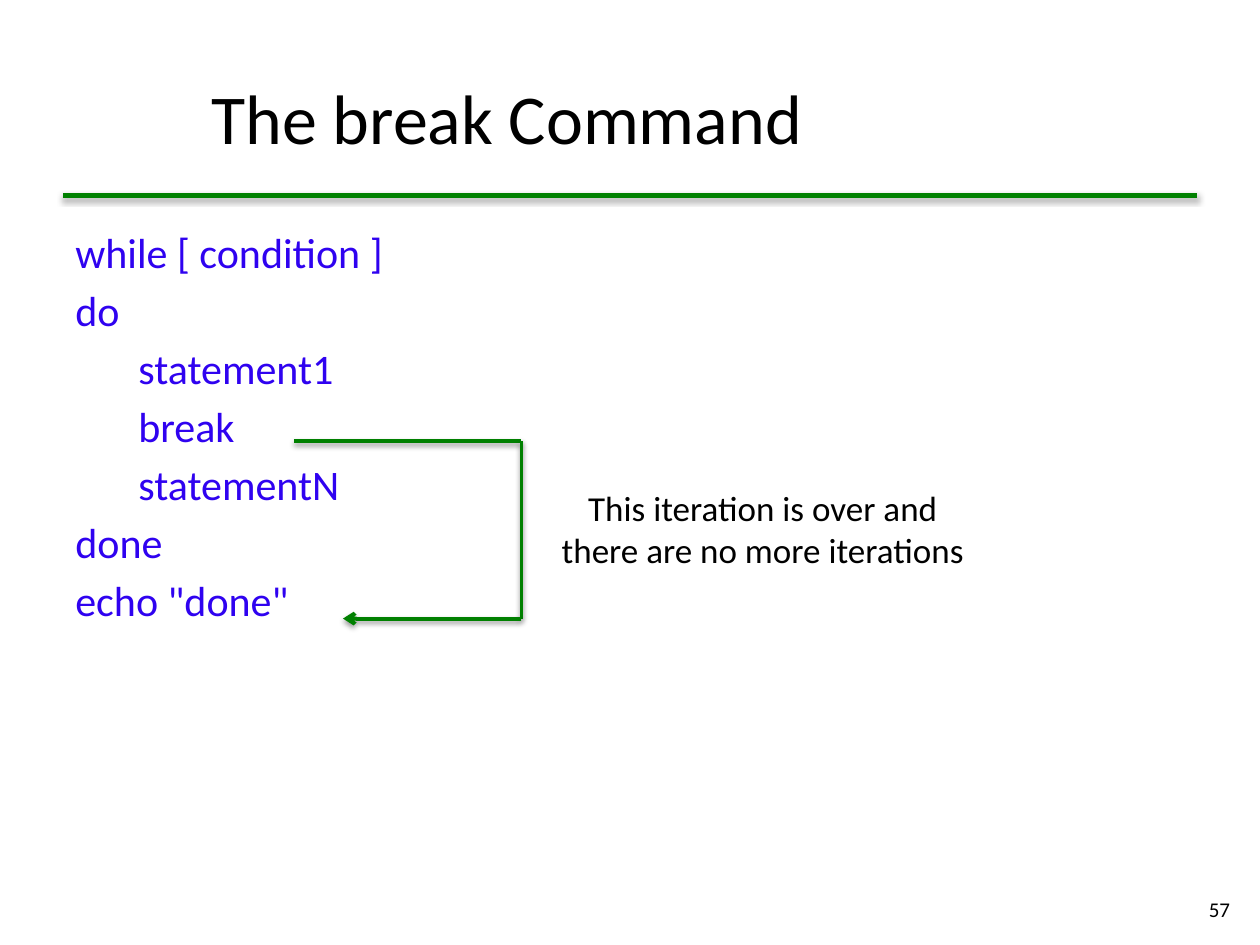
from lxml import etree
from pptx import Presentation
from pptx.dml.color import RGBColor
from pptx.enum.shapes import MSO_CONNECTOR
from pptx.enum.text import MSO_ANCHOR, PP_ALIGN
from pptx.oxml import parse_xml
from pptx.oxml.ns import nsdecls, qn
from pptx.util import Pt

STRAIGHT = MSO_CONNECTOR.STRAIGHT
TOP, MIDDLE = MSO_ANCHOR.TOP, MSO_ANCHOR.MIDDLE
LEFT, CENTER, RIGHT = PP_ALIGN.LEFT, PP_ALIGN.CENTER, PP_ALIGN.RIGHT
JUSTIFY = PP_ALIGN.JUSTIFY

BLACK = RGBColor(0x00, 0x00, 0x00)
GREEN = RGBColor(0x00, 0x80, 0x00)
BLUE = RGBColor(0x2F, 0x02, 0xF0)
FONT = "Calibri"

CODE = [
    ("while [ condition ]", 0),
    ("do", 0),
    ("statement1", 1),
    ("break", 1),
    ("statementN", 1),
    ("done", 0),
    ('echo "done"', 0),
]
INDENT = 36
CODE_GAP = 4.3


def style(para, size, color, align):
    para.alignment = align
    para.font.name = FONT
    para.font.size = Pt(size)
    para.font.color.rgb = color


def add_frame(page, box, anchor):
    frame = page.shapes.add_textbox(*map(Pt, box)).text_frame
    frame.word_wrap = True
    frame.vertical_anchor = anchor
    return frame


def add_text(page, box, text, size, align, anchor):
    para = add_frame(page, box, anchor).paragraphs[0]
    para.text = text
    style(para, size, BLACK, align)


def add_line(page, start, end, width, arrow=False):
    line = page.shapes.add_connector(STRAIGHT, *map(Pt, (*start, *end)))
    line.line.color.rgb = GREEN
    line.line.width = Pt(width)
    if arrow:
        outline = line.line._get_or_add_ln()
        etree.SubElement(outline, qn("a:tailEnd"), type="arrow")
    line._element.spPr.append(parse_xml(
        f'<a:effectLst {nsdecls("a")}>'
        f'<a:outerShdw blurRad="{Pt(3.1)}" dist="{Pt(1.6)}" dir="5400000" rotWithShape="0">'
        '<a:srgbClr val="000000"><a:alpha val="38000"/></a:srgbClr>'
        '</a:outerShdw></a:effectLst>'))


def add_header(page, box):
    left, top, width, height = box
    inset = 77.8
    title_box = (left + inset, top, width - inset, height)
    add_text(page, title_box, "The break Command", 40, LEFT, MIDDLE)
    bottom = top + height
    add_line(page, (left, bottom), (left + width, bottom), 3)


def add_code(page, box):
    frame = add_frame(page, box, TOP)
    for index, (text, level) in enumerate(CODE):
        para = frame.add_paragraph() if index else frame.paragraphs[0]
        para.text = text
        if index:
            para.space_before = Pt(CODE_GAP)
        if level:
            para._p.get_or_add_pPr().set("marL", str(Pt(INDENT * level)))
        style(para, 24, BLUE, JUSTIFY)


def add_jump(page, box):
    left, top, width, height = box
    right, bottom = left + width, top + height
    arrow_offset = 28
    corners = [(left, top), (right, top), (right, bottom), (left + arrow_offset, bottom)]
    legs = list(zip(corners, corners[1:]))
    for leg in legs:
        add_line(page, *leg, 2.25, arrow=leg == legs[-1])
    add_text(page, (right + 9.4, top + 22.3, 257, 55.4),
             "This iteration is over and there are no more iterations", 20, CENTER, TOP)


def main():
    deck = Presentation()
    deck.slide_width, deck.slide_height = Pt(720), Pt(540)
    page = deck.slides.add_slide(deck.slide_layouts[6])
    add_header(page, (36, 21.6, 648, 90))
    add_code(page, (36, 126, 648, 378.7))
    add_jump(page, (168, 252, 130, 101.5))
    add_text(page, (681, 505, 29, 29), "57", 12, RIGHT, MIDDLE)
    deck.save("out.pptx")


if __name__ == "__main__":
    main()
